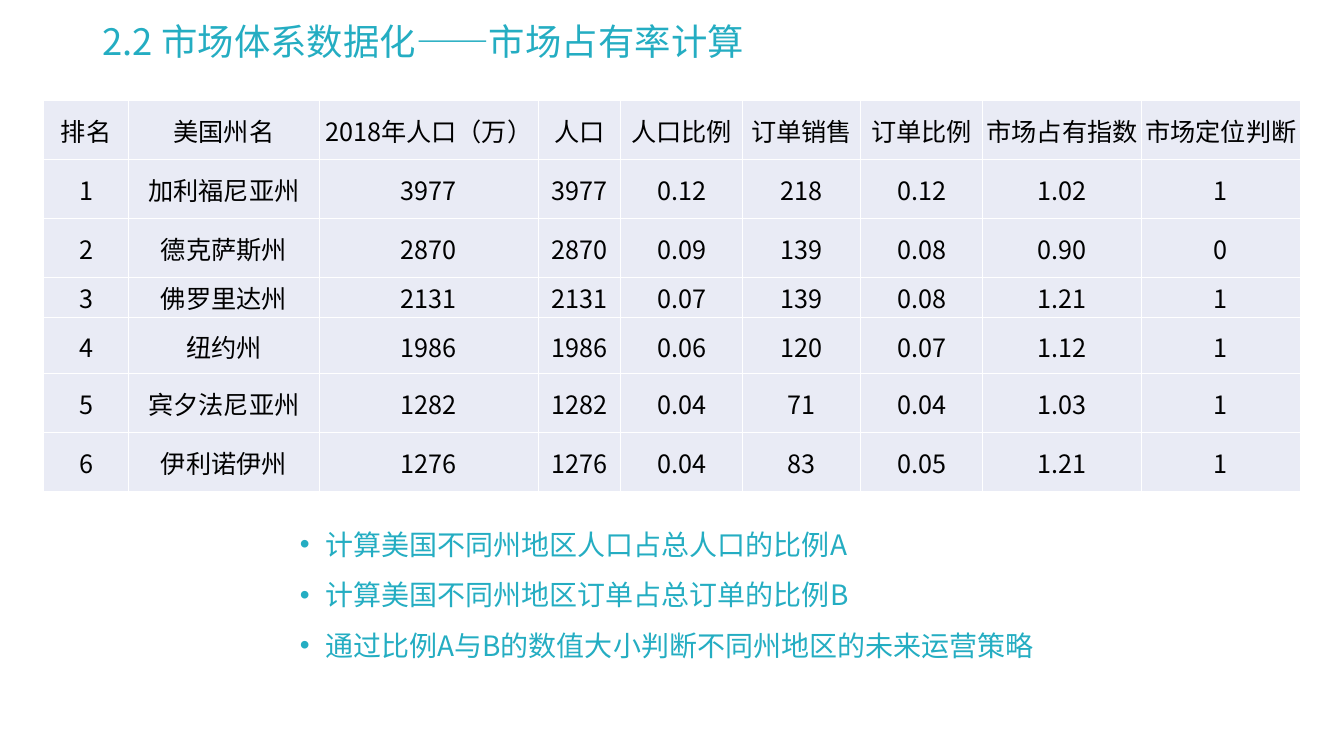
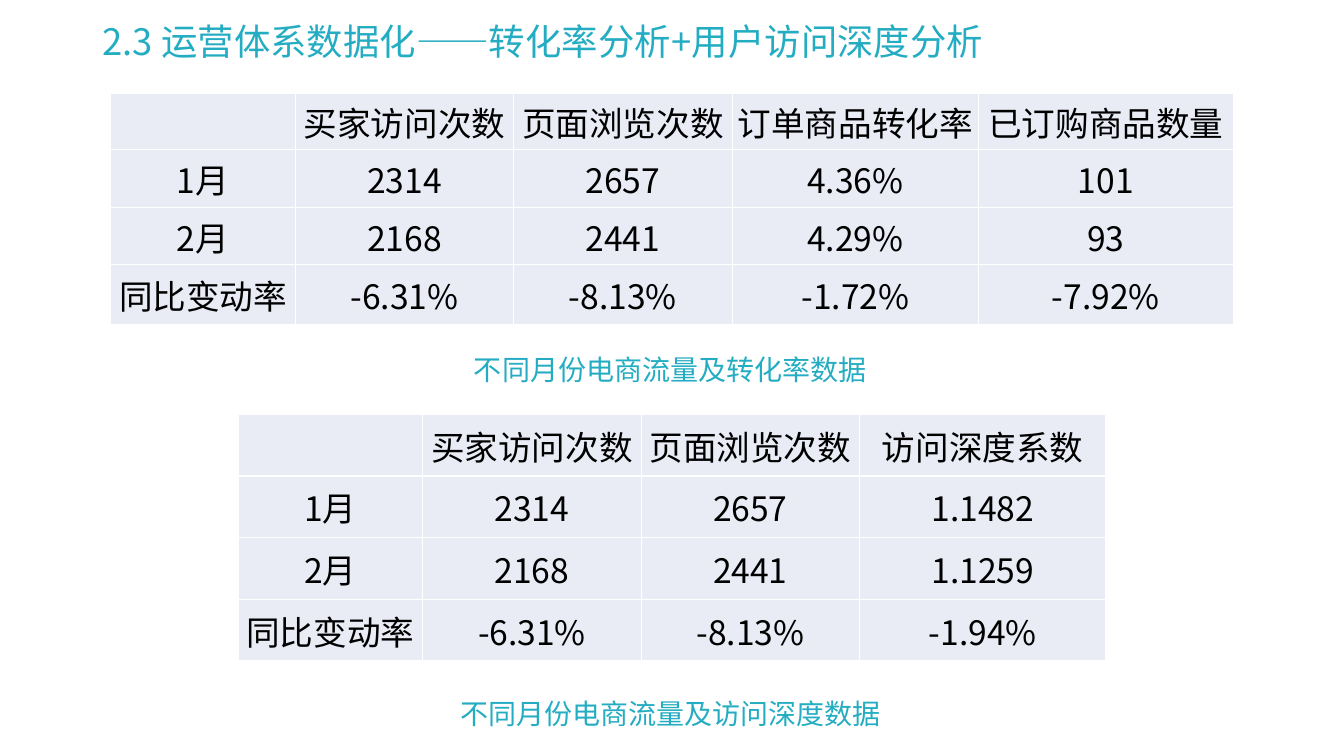
from lxml import etree
from pptx import Presentation
from pptx.dml.color import RGBColor
from pptx.enum.text import MSO_ANCHOR, MSO_AUTO_SIZE, PP_ALIGN
from pptx.oxml.ns import qn
from pptx.util import Pt

# Shared look
SLIDE_WIDTH, SLIDE_HEIGHT = 960, 540
FONT = "Noto Sans CJK SC"
TEAL = RGBColor(0x24, 0xAD, 0xC2)
BLACK = RGBColor(0, 0, 0)
WHITE = RGBColor(0xFF, 0xFF, 0xFF)
CELL_FILL = RGBColor(0xE9, 0xEB, 0xF5)
TITLE_SIZE, BODY_SIZE = 26, 20
CONTENT_LAYOUT, TITLE_ONLY_LAYOUT = 1, 5

LEFT, CENTER = PP_ALIGN.LEFT, PP_ALIGN.CENTER
MIDDLE, TOP = MSO_ANCHOR.MIDDLE, MSO_ANCHOR.TOP
NO_FIT, GROW = MSO_AUTO_SIZE.NONE, MSO_AUTO_SIZE.SHAPE_TO_FIT_TEXT

# Content
STATE_ROWS = [
    ["排名", "美国州名", "2018年人口（万）", "人口", "人口比例", "订单销售",
     "订单比例", "市场占有指数", "市场定位判断"],
    ["1", "加利福尼亚州", "3977", "3977", "0.12", "218", "0.12", "1.02", "1"],
    ["2", "德克萨斯州", "2870", "2870", "0.09", "139", "0.08", "0.90", "0"],
    ["3", "佛罗里达州", "2131", "2131", "0.07", "139", "0.08", "1.21", "1"],
    ["4", "纽约州", "1986", "1986", "0.06", "120", "0.07", "1.12", "1"],
    ["5", "宾夕法尼亚州", "1282", "1282", "0.04", "71", "0.04", "1.03", "1"],
    ["6", "伊利诺伊州", "1276", "1276", "0.04", "83", "0.05", "1.21", "1"],
]
STEPS = [
    "计算美国不同州地区人口占总人口的比例A",
    "计算美国不同州地区订单占总订单的比例B",
    "通过比例A与B的数值大小判断不同州地区的未来运营策略",
]
TRAFFIC_ROWS = [
    ["", "买家访问次数", "页面浏览次数"],
    ["1月", "2314", "2657"],
    ["2月", "2168", "2441"],
    ["同比变动率", "-6.31%", "-8.13%"],
]
CONVERSION_COLUMNS = [
    ["订单商品转化率", "已订购商品数量"],
    ["4.36%", "101"],
    ["4.29%", "93"],
    ["-1.72%", "-7.92%"],
]
DEPTH_COLUMN = [["访问深度系数"], ["1.1482"], ["1.1259"], ["-1.94%"]]
TRAFFIC_WIDTHS = [132, 156, 156, 176]


def style_paragraph(paragraph, size, color, align, spacing=1.0):
    paragraph.alignment = align
    paragraph.line_spacing = spacing
    paragraph.space_before = Pt(0)
    for run in paragraph.runs:
        run.font.size = Pt(size)
        run.font.name = FONT
        run.font.color.rgb = color
        east_asian = etree.Element(qn("a:ea"), typeface=FONT)
        run.font._element.find(qn("a:latin")).addnext(east_asian)


def place(shape, left, top, width, height):
    shape.left, shape.top = Pt(left), Pt(top)
    shape.width, shape.height = Pt(width), Pt(height)


def add_titled_slide(prs, layout, title):
    slide = prs.slides.add_slide(prs.slide_layouts[layout])
    heading = slide.shapes.title
    place(heading, 66, 19, 828, 25)
    frame = heading.text_frame
    frame.text = title
    frame.auto_size = NO_FIT
    frame.vertical_anchor = MIDDLE
    style_paragraph(frame.paragraphs[0], TITLE_SIZE, TEAL, LEFT, 0.9)
    return slide


def add_bullet(paragraph):
    properties = paragraph._p.get_or_add_pPr()
    properties.set("marL", str(Pt(18)))
    properties.set("indent", str(-Pt(18)))
    etree.SubElement(properties, qn("a:buFont"), typeface="Arial")
    etree.SubElement(properties, qn("a:buChar"), char="•")


def fill_bullets(body, items):
    place(body, 207, 361, 544, 124)
    frame = body.text_frame
    frame.text = "\n".join(items)
    frame.auto_size = NO_FIT
    frame.vertical_anchor = TOP
    for paragraph in frame.paragraphs:
        add_bullet(paragraph)
        style_paragraph(paragraph, BODY_SIZE, TEAL, LEFT, 1.5)


def add_borders(cell):
    properties = cell._tc.get_or_add_tcPr()
    for side in ("a:lnL", "a:lnR", "a:lnT", "a:lnB"):
        line = etree.SubElement(properties, qn(side), w=str(Pt(1)))
        solid = etree.SubElement(line, qn("a:solidFill"))
        etree.SubElement(solid, qn("a:srgbClr"), val=str(WHITE))


def add_data_table(slide, top, rows, widths, heights, size):
    """Add a table centred across the slide."""
    total = sum(widths)
    table = slide.shapes.add_table(
        len(rows), len(widths), Pt((SLIDE_WIDTH - total) / 2), Pt(top),
        Pt(total), Pt(sum(heights))).table
    table.first_row = table.horz_banding = False
    for column, width in zip(table.columns, widths):
        column.width = Pt(width)
    for row, height, values in zip(table.rows, heights, rows):
        row.height = Pt(height)
        for cell, value in zip(row.cells, values):
            add_borders(cell)
            cell.fill.solid()
            cell.fill.fore_color.rgb = CELL_FILL
            cell.vertical_anchor = MIDDLE
            cell.margin_left = cell.margin_right = cell.margin_top = Pt(0.75)
            cell.margin_bottom = Pt(0)
            cell.text = value
            style_paragraph(cell.text_frame.paragraphs[0], size, BLACK, CENTER)


def add_caption(slide, top, width, text):
    """Add a one-line caption centred across the slide."""
    caption = slide.shapes.add_textbox(
        Pt((SLIDE_WIDTH - width) / 2), Pt(top), Pt(width), Pt(40))
    frame = caption.text_frame
    frame.word_wrap = False
    frame.auto_size = GROW
    frame.text = text
    style_paragraph(frame.paragraphs[0], BODY_SIZE, TEAL, LEFT, 1.5)


def join_columns(left_rows, right_rows):
    return [left + right for left, right in zip(left_rows, right_rows)]


def main():
    prs = Presentation()
    prs.slide_width, prs.slide_height = Pt(SLIDE_WIDTH), Pt(SLIDE_HEIGHT)

    # Market share
    share = add_titled_slide(prs, CONTENT_LAYOUT,
                             "2.2 市场体系数据化——市场占有率计算")
    fill_bullets(share.placeholders[1], STEPS)
    add_data_table(share, 72, STATE_ROWS,
                   [61, 136, 156.5, 59, 87, 84.5, 87, 113.5, 113.5],
                   [42, 42, 42, 29, 40, 42, 42], 18)

    # Conversion rate and visit depth
    operations = add_titled_slide(
        prs, TITLE_ONLY_LAYOUT,
        "2.3 运营体系数据化——转化率分析+用户访问深度分析")
    add_data_table(operations, 67,
                   join_columns(TRAFFIC_ROWS, CONVERSION_COLUMNS),
                   TRAFFIC_WIDTHS + [182], [40, 41, 41, 43], 24)
    add_data_table(operations, 296, join_columns(TRAFFIC_ROWS, DEPTH_COLUMN),
                   TRAFFIC_WIDTHS, [44] * 4, 24)
    add_caption(operations, 236, 297, "不同月份电商流量及转化率数据")
    add_caption(operations, 482, 317, "不同月份电商流量及访问深度数据")

    prs.save("out.pptx")


if __name__ == "__main__":
    main()
